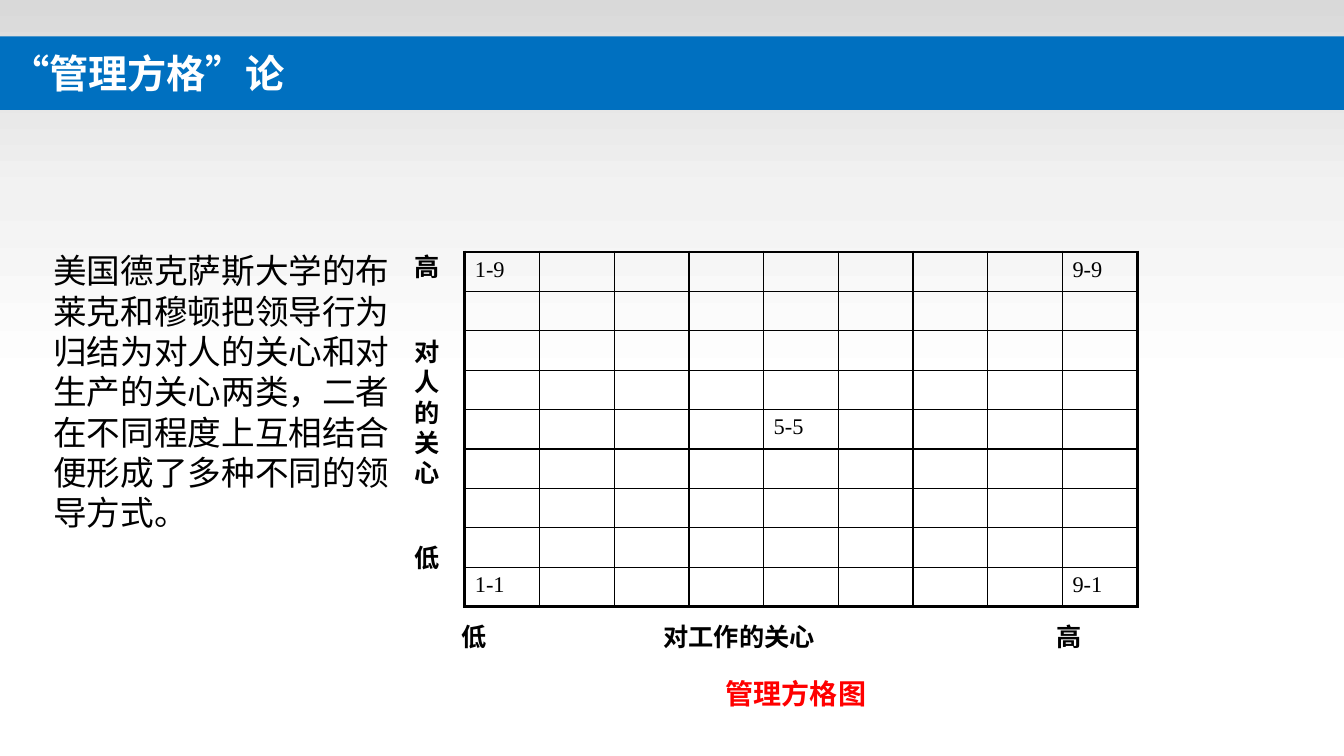
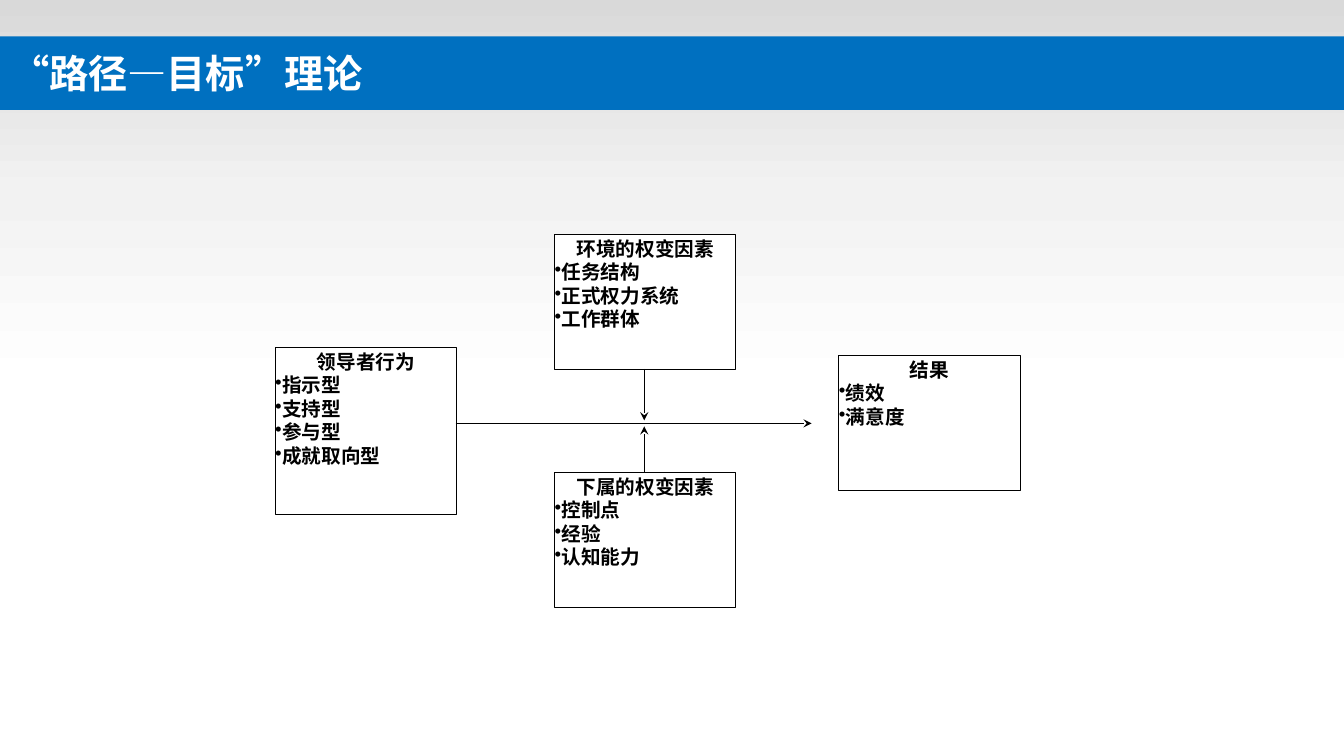
from copy import deepcopy

from lxml.etree import SubElement
from pptx import Presentation
from pptx.dml.color import RGBColor
from pptx.enum.shapes import MSO_CONNECTOR, MSO_SHAPE
from pptx.enum.text import MSO_ANCHOR, PP_ALIGN
from pptx.oxml import parse_xml
from pptx.oxml.ns import nsdecls, qn
from pptx.util import Inches, Pt

SANS, SERIF = "Noto Sans CJK SC", "Times New Roman"
BLUE, BLACK, WHITE, RED = "0070C0", "000000", "FFFFFF", "FF0000"
SHADE = [(0, "D9D9D9"), (0.5, "F2F2F2"), (1, "FFFFFF")]
WIDE, HIGH = 13.33, 7.5

GRID_TITLE = "“管理方格”论"
INTRO = ("美国德克萨斯大学的布莱克和穆顿把领导行为归结为对人的关心和对生产的关心两类，"
         "二者在不同程度上互相结合便形成了多种不同的领导方式。")
SIDE = ["高", "对人的关心", "低"]
BASE = "低\t对工作的关心\t高"
NAME = "管理方格图"
SIZE = 9
MARKS = {(0, 0): "1-9", (0, 8): "9-9", (4, 4): "5-5", (8, 0): "1-1", (8, 8): "9-1"}

GOAL_TITLE = "“路径—目标”理论"
BOXES = [  # left, top, height, heading, items
    (5.5, 2.33, 1.34, "环境的权变因素", ["任务结构", "正式权力系统", "工作群体"]),
    (5.5, 4.69, 1.34, "下属的权变因素", ["控制点", "经验", "认知能力"]),
    (2.73, 3.45, 1.65, "领导者行为", ["指示型", "支持型", "参与型", "成就取向型"]),
    (8.32, 3.53, 1.34, "结果", ["绩效", "满意度"]),
]
ARROWS = [(4.52, 4.2, 8.05, 4.2), (6.39, 3.66, 6.39, 4.17), (6.39, 4.68, 6.39, 4.23)]


def color(code):
    return RGBColor.from_string(code)


def area(*box):
    return [Inches(n) for n in box]


def put(frame, lines, size=18, font=SERIF, ink=BLACK, bold=False, align=PP_ALIGN.LEFT,
        gap=0, pitch=1.2, tabs=(), bullets=False, pad=None):
    """Fill a frame; with bullets, every line after the first is a list item."""
    frame.word_wrap = True
    if pad is not None:
        frame.margin_left = frame.margin_right = frame.margin_bottom = Inches(pad)
        frame.margin_top = Inches(pad) + Pt(size * 0.1)
    for i, line in enumerate(lines):
        para = frame.paragraphs[0] if i == 0 else frame.add_paragraph()
        item = bullets and i > 0
        para.alignment = PP_ALIGN.JUSTIFY if item else align
        para.space_before = Pt(gap if i else 0)
        if pitch:
            para.line_spacing = Pt(size * pitch)
        props = para._p.get_or_add_pPr()
        if item:
            props.set("marL", "0")
            props.set("indent", "0")
            SubElement(props, qn("a:buChar"), char="•")
        if tabs:
            stops = SubElement(props, qn("a:tabLst"))
            for stop in tabs:
                SubElement(stops, qn("a:tab"), pos=str(Inches(stop)), algn="l")
        run = para.add_run()
        run.text = line
        face = run.font
        face.size, face.bold = Pt(size), bold
        face.name = SANS if item else font
        face.color.rgb = color(ink)
        SubElement(run._r.get_or_add_rPr(), qn("a:ea"), typeface=SANS)


def label(slide, box, lines, **style):
    put(slide.shapes.add_textbox(*area(*box)).text_frame, lines, pad=0.05, **style)


def panel(slide, box, fill=None, line=None):
    shape = slide.shapes.add_shape(MSO_SHAPE.RECTANGLE, *area(*box))
    shape.shadow.inherit = False
    if fill:
        shape.fill.solid()
        shape.fill.fore_color.rgb = color(fill)
    if line:
        shape.line.color.rgb = color(line)
        shape.line.width = Pt(0.75)
    else:
        shape.line.fill.background()
    return shape


def start(deck, title):
    """Add a slide with the shaded top and the title band."""
    slide = deck.slides.add_slide(deck.slide_layouts[5])
    fill = panel(slide, (0, 0, WIDE, 3.83)).fill
    fill.gradient()
    fill.gradient_angle = 270
    stops = slide.shapes[-1]._element.spPr.find(".//" + qn("a:gsLst"))
    stops.append(deepcopy(stops[-1]))
    for stop, (place, code) in zip(fill.gradient_stops, SHADE):
        stop.position = place
        stop.color.rgb = color(code)

    band = slide.shapes.title
    slide.shapes._spTree.append(band._element)
    band.left, band.top, band.width, band.height = area(0, 0.36, WIDE, 0.73)
    band.fill.solid()
    band.fill.fore_color.rgb = color(BLUE)
    band.text_frame.vertical_anchor = MSO_ANCHOR.MIDDLE
    put(band.text_frame, [title], size=28, font=SANS, ink=WHITE, bold=True, pitch=None)
    return slide


def edge(cell, row, col):
    """Draw cell borders, heavy on the rim of the grid."""
    props = cell._tc.get_or_add_tcPr()
    rims = {"L": col == 0, "R": col == SIZE - 1, "T": row == 0, "B": row == SIZE - 1}
    for side, rim in rims.items():
        width = Pt(2.25 if rim else 1)
        props.append(parse_xml(
            f'<a:ln{side} {nsdecls("a")} w="{width}"><a:solidFill>'
            f'<a:srgbClr val="{BLACK}"/></a:solidFill></a:ln{side}>'))


def draw_grid(slide):
    table = slide.shapes.add_table(SIZE, SIZE, *area(4.61, 2.5, 6.67, 3.52)).table
    table.first_row = table.horz_banding = False
    for row in range(SIZE):
        for col in range(SIZE):
            cell = table.cell(row, col)
            edge(cell, row, col)
            cell.fill.background()
            if (row, col) in MARKS:
                put(cell.text_frame, [MARKS[row, col]], size=16, pitch=None)
            else:
                para = cell.text_frame.paragraphs[0]._p
                end = SubElement(para, qn("a:endParaRPr"), sz="1600")
                SubElement(end, qn("a:latin"), typeface=SERIF)


def arrow(slide, ends):
    line = slide.shapes.add_connector(MSO_CONNECTOR.STRAIGHT, *area(*ends))
    line.line.color.rgb = color(BLACK)
    line.line.width = Pt(0.75)
    SubElement(line.line._get_or_add_ln(), qn("a:tailEnd"), type="stealth")
    SubElement(line._element.spPr, qn("a:effectLst"))


def main():
    deck = Presentation()
    deck.slide_width, deck.slide_height = area(WIDE, HIGH)

    slide = start(deck, GRID_TITLE)
    draw_grid(slide)
    label(slide, (4.06, 2.42, 0.5, 3.43), SIDE, bold=True, gap=39)
    label(slide, (4.53, 6.09, 6.78, 0.4), [BASE], bold=True, tabs=(2, 5.9))
    label(slide, (4.48, 6.63, 6.83, 0.44), [NAME], size=20, ink=RED, bold=True,
          align=PP_ALIGN.CENTER)
    label(slide, (0.48, 2.4, 3.47, 2.93), [INTRO], size=24, font=SANS)

    slide = start(deck, GOAL_TITLE)
    for left, top, high, head, items in BOXES:
        box = panel(slide, (left, top, 1.8, high), WHITE, BLACK)
        box.text_frame.vertical_anchor = MSO_ANCHOR.TOP
        put(box.text_frame, [head, *items], size=14, bold=True,
            align=PP_ALIGN.CENTER, bullets=True, pad=0)
    for ends in ARROWS:
        arrow(slide, ends)

    deck.save("out.pptx")


if __name__ == "__main__":
    main()
